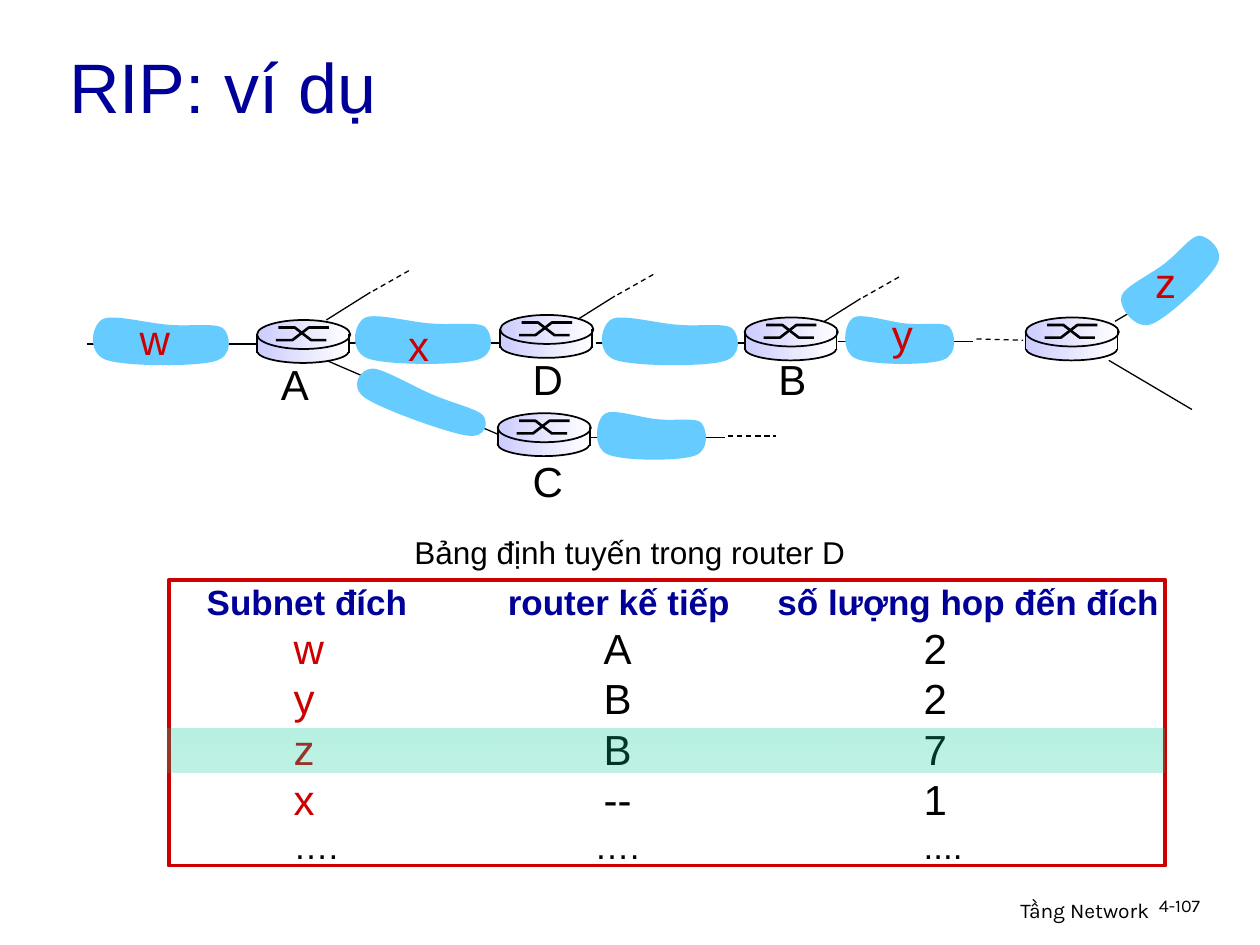
from lxml import etree
from pptx import Presentation
from pptx.dml.color import RGBColor
from pptx.enum.dml import MSO_LINE
from pptx.enum.shapes import MSO_CONNECTOR, MSO_SHAPE
from pptx.enum.text import MSO_ANCHOR, MSO_AUTO_SIZE, PP_ALIGN
from pptx.oxml.ns import qn
from pptx.util import Inches, Pt

STRAIGHT, DASH = MSO_CONNECTOR.STRAIGHT, MSO_LINE.DASH
OVAL, RECT = MSO_SHAPE.OVAL, MSO_SHAPE.RECTANGLE
LEFT, RIGHT = PP_ALIGN.LEFT, PP_ALIGN.RIGHT
TOP, MIDDLE = MSO_ANCHOR.TOP, MSO_ANCHOR.MIDDLE
FIXED, GROW = MSO_AUTO_SIZE.NONE, MSO_AUTO_SIZE.SHAPE_TO_FIT_TEXT

BLACK = RGBColor(0x00, 0x00, 0x00)
WHITE = RGBColor(0xFF, 0xFF, 0xFF)
NAVY = RGBColor(0x00, 0x00, 0x99)
RED = RGBColor(0xCC, 0x00, 0x00)
SKY = RGBColor(0x66, 0xCC, 0xFF)
LAVENDER = RGBColor(0xCC, 0xCC, 0xFF)
GREEN = RGBColor(0x00, 0xCC, 0x99)

prs = Presentation()
prs.slide_width, prs.slide_height = Inches(10), Inches(7.5)
slide = prs.slides.add_slide(prs.slide_layouts[6])


def add_text(text, box, size, color, font="Arial", align=LEFT, anchor=TOP, wrap=False):
    """Add a one-line text box and return its paragraph."""
    frame = slide.shapes.add_textbox(*map(Inches, box)).text_frame
    frame.word_wrap = wrap
    frame.auto_size = FIXED if wrap else GROW
    frame.vertical_anchor = anchor
    paragraph = frame.paragraphs[0]
    paragraph.text = text
    paragraph.alignment = align
    paragraph.font.name = font
    paragraph.font.size = Pt(size)
    paragraph.font.color.rgb = color
    return paragraph


def add_line(shapes, ends, width=0.74, dash=None):
    """Add a straight black line from (x1, y1) to (x2, y2)."""
    line = shapes.add_connector(STRAIGHT, *map(Inches, ends))
    line.line.color.rgb = BLACK
    line.line.width = Pt(width)
    if dash:
        line.line.dash_style = dash
    etree.SubElement(line._element.spPr, qn("a:effectLst"))


# Title and footer
add_text("Tầng Network", (6.05, 7.07, 3.17, 0.31), 12, BLACK, "Karla", RIGHT, wrap=True)
page_number = add_text("4-107", (9.1, 7.07, 0.74, 0.3), 10.2, BLACK, "Karla", wrap=True)
page_number.line_spacing = 0.9
add_text("RIP: ví dụ", (0.45, 0.21, 4.31, 0.94), 40, NAVY, anchor=MIDDLE, wrap=True)

# Routing table of router D: a framed list with its columns on tab stops
ROUTES = [("Subnet đích", "router kế tiếp", "số lượng hop đến đích"),
          ("w", "A", "2"), ("y", "B", "2"), ("z", "B", "7"), ("x", "--", "1"),
          ("….", "….", "....")]
HEADER_STOPS, ROUTE_STOPS, DOT_STOPS = (0.3, 2.69, 4.83), (0.99, 3.45, 5.99), (0.99, 3.38, 5.99)
routing = slide.shapes.add_shape(RECT, Inches(1.34), Inches(4.6), Inches(7.91), Inches(2.27))
routing.shadow.inherit = False
routing.fill.background()
routing.line.color.rgb = RED
routing.line.width = Pt(2.24)
frame = routing.text_frame
frame.margin_left = frame.margin_right = frame.margin_top = frame.margin_bottom = 0
frame.vertical_anchor = TOP
frame.word_wrap = True
for r, route in enumerate(ROUTES):
    is_header, is_dots = r == 0, r == len(ROUTES) - 1
    small = is_header or is_dots
    paragraph = frame.paragraphs[0] if is_header else frame.add_paragraph()
    paragraph.alignment = LEFT
    paragraph.line_spacing = Pt(24.5 if small else 28.8)
    paragraph.font.name = "Arial"
    paragraph.font.size = Pt(20 if small else 24)
    paragraph.font.bold = is_header
    for c, value in enumerate(route):
        run = paragraph.add_run()
        run.text = "\t" + value
        body_color = RED if c == 0 and not is_dots else BLACK
        run.font.color.rgb = NAVY if is_header else body_color
    tab_list = etree.Element(qn("a:tabLst"))
    for stop in HEADER_STOPS if is_header else DOT_STOPS if is_dots else ROUTE_STOPS:
        etree.SubElement(tab_list, qn("a:tab"), pos=str(Inches(stop)), algn="l")
    paragraph._p.pPr.find(qn("a:defRPr")).addprevious(tab_list)
add_text("Bảng định tuyến trong router D", (3.19, 4.18, 3.62, 0.4), 18, BLACK)

# Links between routers and subnets
for ends in [(0.69, 2.73, 2.05, 2.73), (2.77, 2.72, 4.12, 2.72), (4.73, 2.72, 6.09, 2.72)]:
    add_line(slide.shapes, ends, 0.99)
for ends in [(6.65, 2.71, 7.72, 2.71), (8.85, 2.55, 9.51, 2.16), (8.8, 2.86, 9.46, 3.25),
             (2.59, 2.86, 3.96, 3.45), (4.68, 3.47, 5.75, 3.47)]:
    add_line(slide.shapes, ends)
for ends in [(7.75, 2.69, 8.12, 2.7), (5.78, 3.46, 6.16, 3.46)]:
    add_line(slide.shapes, ends, dash=DASH)
for x, y in [(2.59, 2.54), (4.53, 2.57), (6.48, 2.59)]:
    add_line(slide.shapes, (x, y, x + 0.35, y - 0.22))
    add_line(slide.shapes, (x + 0.37, y - 0.23, x + 0.67, y - 0.4), dash=DASH)

# Subnets: one curved outline in unit coordinates, scaled and turned
OUTLINE_START = (0.57, 0.21)
OUTLINE = [
    ("a:moveTo", [OUTLINE_START]),
    ("a:cubicBezTo", [(0.43, 0.19), (0.18, 0), (0.11, 0.1)]),
    ("a:cubicBezTo", [(0.03, 0.21), (0, 0.74), (0.13, 0.87)]),
    ("a:cubicBezTo", [(0.26, 1), (0.74, 1), (0.87, 0.9)]),
    ("a:cubicBezTo", [(1.01, 0.81), (0.98, 0.38), (0.93, 0.27)]),
    ("a:cubicBezTo", [(0.88, 0.17), (0.71, 0.24), OUTLINE_START]),
    ("a:close", []),
]
for left, top, width, height, angle in [
    (0.69, 2.49, 1.16, 0.42, 0), (2.77, 2.48, 1.16, 0.42, 0), (4.73, 2.49, 1.16, 0.42, 0),
    (6.67, 2.48, 0.93, 0.42, 0), (2.76, 3.04, 1.16, 0.31, 19.7),
    (8.81, 2.01, 0.95, 0.42, 316.8), (4.7, 3.24, 0.93, 0.42, 0),
]:
    builder = slide.shapes.build_freeform(Inches(left), Inches(top))
    builder.add_line_segments([(Inches(left + width), Inches(top + height))])
    subnet = builder.convert_to_shape()
    subnet.shadow.inherit = False
    subnet.fill.solid()
    subnet.fill.fore_color.rgb = SKY
    subnet.line.fill.background()
    subnet.rotation = angle
    contour = next(subnet._element.iter(qn("a:path")))
    for segment in list(contour):
        contour.remove(segment)
    for tag, points in OUTLINE:
        segment = etree.SubElement(contour, qn(tag))
        for u, v in points:
            etree.SubElement(segment, qn("a:pt"), x=str(Inches(u * width)),
                             y=str(Inches(v * height)))

# Subnet and router names
for name, left, top, width, color in [
    ("w", 1.01, 2.44, 0.44, RED), ("x", 3.14, 2.49, 0.36, RED),
    ("y", 6.98, 2.4, 0.36, RED), ("z", 9.07, 1.99, 0.36, RED),
    ("A", 2.13, 2.8, 0.42, BLACK), ("C", 4.13, 3.57, 0.44, BLACK),
    ("D", 4.13, 2.76, 0.44, BLACK), ("B", 6.08, 2.76, 0.42, BLACK),
]:
    add_text(name, (left, top, width, 0.5), 24, color)

# Highlight over the route to z
highlight = slide.shapes.add_shape(RECT, Inches(1.33), Inches(5.78), Inches(7.91), Inches(0.35))
highlight.shadow.inherit = False
highlight.line.fill.background()
highlight.fill.gradient()
highlight.fill.gradient_angle = 270
for stop in highlight.fill.gradient_stops:
    stop.color.rgb = GREEN
tints = highlight._element.spPr.iter(qn("a:srgbClr"))
for tint, opacity in zip(tints, (29, 25)):
    etree.SubElement(tint, qn("a:alpha"), val=str(opacity * 1000))

# Routers
CROSS = [[(0.15, 0.16), (0.28, 0.16), (0.41, 0.06), (0.57, 0.06)],
         [(0.17, 0.06), (0.3, 0.06), (0.43, 0.16), (0.55, 0.16)]]
for x, y in [(3.97, 2.5), (5.91, 2.52), (8.14, 2.52), (3.95, 3.28), (2.04, 2.54)]:
    router = slide.shapes.add_group_shape().shapes
    for kind, dy, width, height in [(OVAL, 0.15, 0.73, 0.19), (RECT, 0.13, 0.74, 0.12),
                                    (OVAL, 0, 0.74, 0.23)]:
        part = router.add_shape(kind, Inches(x), Inches(y + dy), Inches(width), Inches(height))
        part.shadow.inherit = False
        part.fill.gradient()
        part.fill.gradient_angle = 0
        for stop, color in zip(part.fill.gradient_stops, (LAVENDER, WHITE)):
            stop.color.rgb = color
        if kind == OVAL:
            part.line.color.rgb = BLACK
            part.line.width = Pt(0.99)
        else:
            part.line.fill.background()
    for stroke in CROSS:
        points = [(Inches(x + dx), Inches(y + dy)) for dx, dy in stroke]
        builder = router.build_freeform(*points[0])
        builder.add_line_segments(points[1:], close=False)
        arm = builder.convert_to_shape()
        arm.shadow.inherit = False
        arm.fill.background()
        arm.line.color.rgb = BLACK
        arm.line.width = Pt(1.5)
    for side in (x, x + 0.73):
        add_line(router, (side, y + 0.11, side, y + 0.26), 0.99)

prs.save("out.pptx")
